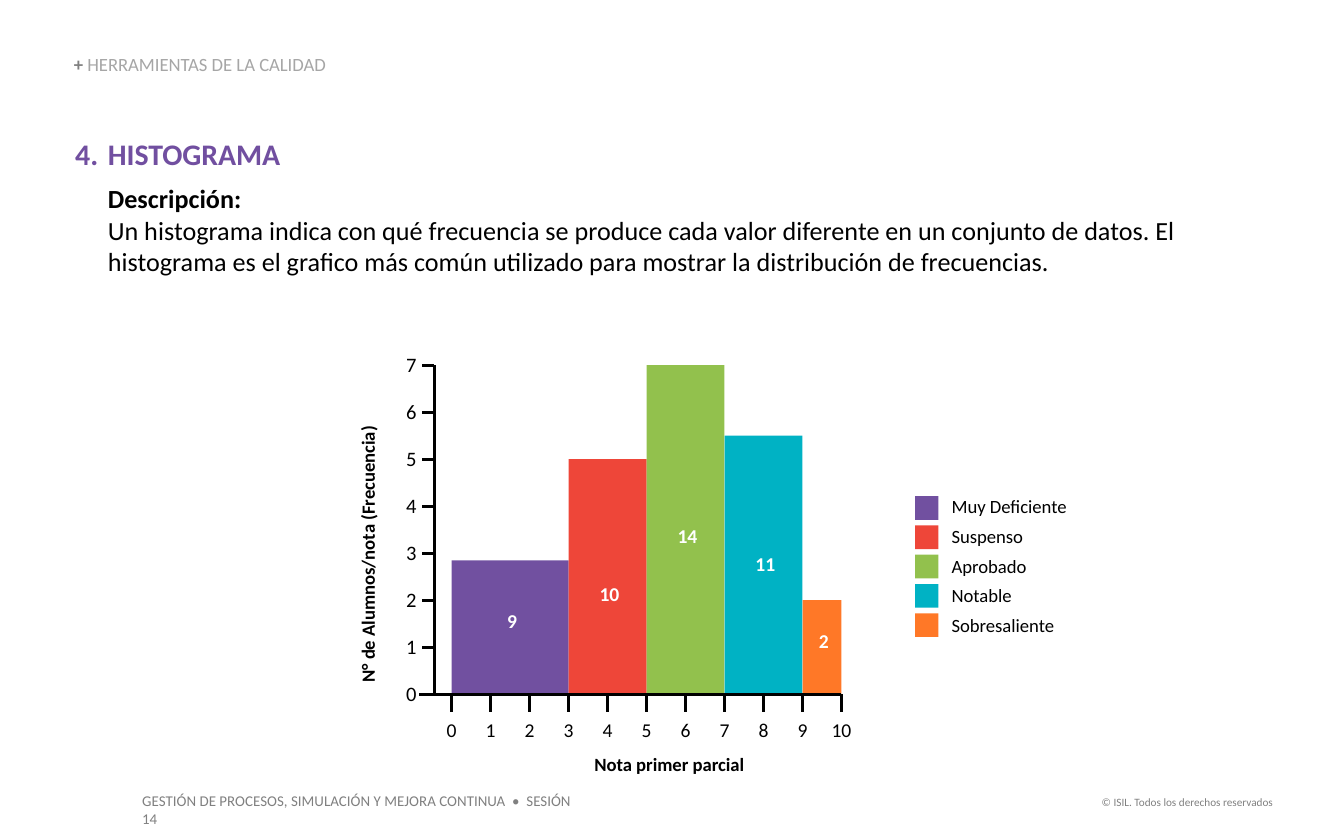
from lxml import etree
from pptx import Presentation
from pptx.dml.color import RGBColor
from pptx.enum import shapes, text
from pptx.oxml import ns
from pptx.util import Pt

COLORS = {
    "black": "000000", "white": "FFFFFF", "heading": "714FA0",
    "gray": "808080", "light": "A6A6A6",
    "Muy Deficiente": "7150A0", "Suspenso": "EE4639", "Aprobado": "92C14D",
    "Notable": "00B2C4", "Sobresaliente": "FF7827",
}
ORIGIN_X, BASE_Y = 242, 372
STEP_X, STEP_Y = 20.88, 25.2
AXIS_X, END_X = 232.6, ORIGIN_X + 10 * STEP_X

deck = Presentation()
deck.slide_width, deck.slide_height = Pt(720), Pt(450)
page = deck.slides.add_slide(deck.slide_layouts[5])


def write(box, paragraphs, inset=(0, 0, 0, 0), anchor=text.MSO_ANCHOR.TOP, align=text.PP_ALIGN.LEFT):
    frame = box.text_frame
    left, top, right, bottom = map(Pt, inset)
    settings = {
        "word_wrap": True, "auto_size": text.MSO_AUTO_SIZE.NONE, "vertical_anchor": anchor,
        "margin_left": left, "margin_top": top, "margin_right": right, "margin_bottom": bottom,
    }
    for name, value in settings.items():
        setattr(frame, name, value)
    for index, spans in enumerate(paragraphs):
        para = frame.add_paragraph() if index else frame.paragraphs[0]
        para.alignment = align
        for words, size, color, bold in spans:
            span = para.add_run()
            span.text = words
            for name, value in {"name": "Calibri", "size": Pt(size), "bold": bold}.items():
                setattr(span.font, name, value)
            span.font.color.rgb = RGBColor.from_string(COLORS[color])
    return box


def draw_line(x1, y1, x2, y2):
    line = page.shapes.add_connector(shapes.MSO_CONNECTOR.STRAIGHT, Pt(x1), Pt(y1), Pt(x2), Pt(y2))
    line.line.width = Pt(1.5)
    line.line.color.rgb = RGBColor.from_string(COLORS["black"])
    etree.SubElement(line._element.spPr, ns.qn("a:effectLst"))


title = page.shapes.title
for name, value in {"left": 39.6, "top": 29.5, "width": 191.5, "height": 10.8}.items():
    setattr(title, name, Pt(value))
write(title, [[("+ ", 10, "gray", True), ("HERRAMIENTAS DE LA CALIDAD", 10, "light", False)]],
      anchor=text.MSO_ANCHOR.BOTTOM)
title.text_frame.paragraphs[0].line_spacing = 0.9

description = write(page.shapes.add_textbox(Pt(40.3), Pt(72.7), Pt(636.5), Pt(80)), [
    [("HISTOGRAMA", 16, "heading", True)],
    [("Descripción:", 14, "black", True)],
    [("Un histograma indica con qué frecuencia se produce cada valor diferente en un conjunto "
      "de datos. El histograma es el grafico más común utilizado para mostrar la distribución "
      "de frecuencias.", 14, "black", False)],
], inset=(0, 0, 0, 3.6))
paragraphs = description.text_frame.paragraphs
paragraphs[0].space_after = Pt(6)
for para, margin, indent in zip(paragraphs, (17.5, 0, 17.5), (-17.5, 17.5, 0)):
    properties = para._p.get_or_add_pPr()
    properties.set("marL", str(Pt(margin)))
    properties.set("indent", str(Pt(indent)))
etree.SubElement(paragraphs[0]._p.pPr, ns.qn("a:buAutoNum"), type="arabicPeriod", startAt="4")

grades = [
    ("Muy Deficiente", 0, 3, 2.85, "9", 326.2),
    ("Suspenso", 3, 5, 5, "10", 311.8),
    ("Aprobado", 5, 7, 7, "14", 280.8),
    ("Notable", 7, 9, 5.5, "11", 295.9),
    ("Sobresaliente", 9, 10, 2, "2", 337),
]
for row, (grade, start, end, frequency, count, count_top) in enumerate(grades):
    bar_left, bar_width = ORIGIN_X + start * STEP_X, (end - start) * STEP_X
    bar_height = frequency * STEP_Y
    bar = (bar_left, BASE_Y - bar_height, bar_width, bar_height)
    swatch = (490.3, 265.8 + 15.7 * row, 12.4, 12.7)
    for area in (bar, swatch):
        block = page.shapes.add_shape(shapes.MSO_SHAPE.RECTANGLE, *map(Pt, area))
        block.shadow.inherit = False
        block.fill.solid()
        block.fill.fore_color.rgb = RGBColor.from_string(COLORS[grade])
        block.line.fill.background()
    count_box = page.shapes.add_textbox(Pt(bar_left + bar_width / 2 - 14), Pt(count_top), Pt(30), Pt(12.2))
    write(count_box, [[(count, 10.5, "white", True)]], align=text.PP_ALIGN.CENTER)
    legend_box = page.shapes.add_textbox(Pt(509.8), Pt(265 + 16 * row), Pt(71.3), Pt(11.5))
    write(legend_box, [[(grade, 10, "black", False)]])

for mark in range(11):
    x = ORIGIN_X + mark * STEP_X
    draw_line(x, BASE_Y, x, BASE_Y + 9.6)
    label = page.shapes.add_textbox(Pt(x - 15), Pt(384.5), Pt(30), Pt(12.2))
    write(label, [[(str(mark), 10.5, "black", False)]], align=text.PP_ALIGN.CENTER)

for mark in range(8):
    y = BASE_Y - mark * STEP_Y
    draw_line(AXIS_X, y, AXIS_X - (6.5 if mark else 8), y)
    label = page.shapes.add_textbox(Pt(193.7), Pt(y - 7.2), Pt(29.5), Pt(13))
    write(label, [[(str(mark), 11, "black", False)]], align=text.PP_ALIGN.RIGHT)

draw_line(AXIS_X, BASE_Y - 7 * STEP_Y, AXIS_X, BASE_Y)
draw_line(AXIS_X, BASE_Y, END_X, BASE_Y)

frequency_title = page.shapes.add_textbox(Pt(121.7), Pt(284.4), Pt(150.5), Pt(12.2))
frequency_title.rotation = 270
write(frequency_title, [[("N° de Alumnos/nota (Frecuencia)", 10, "black", True)]])
grade_title = page.shapes.add_textbox(Pt(298), Pt(403.2), Pt(121), Pt(12.2))
write(grade_title, [[("Nota primer parcial", 10, "black", True)]], align=text.PP_ALIGN.CENTER)

footer = page.shapes.add_textbox(Pt(69.1), Pt(420.5), Pt(252), Pt(17.3))
write(footer, [[("GESTIÓN DE PROCESOS, SIMULACIÓN Y MEJORA CONTINUA  •  SESIÓN 14", 8, "gray", False)]],
      inset=(7.2, 3.6, 7.2, 3.6))
rights = page.shapes.add_textbox(Pt(581), Pt(422.6), Pt(108), Pt(14.4))
write(rights, [[("© ISIL. Todos los derechos reservados", 6, "gray", False)]],
      inset=(7.2, 3.6, 7.2, 3.6), align=text.PP_ALIGN.RIGHT)

deck.save("out.pptx")
